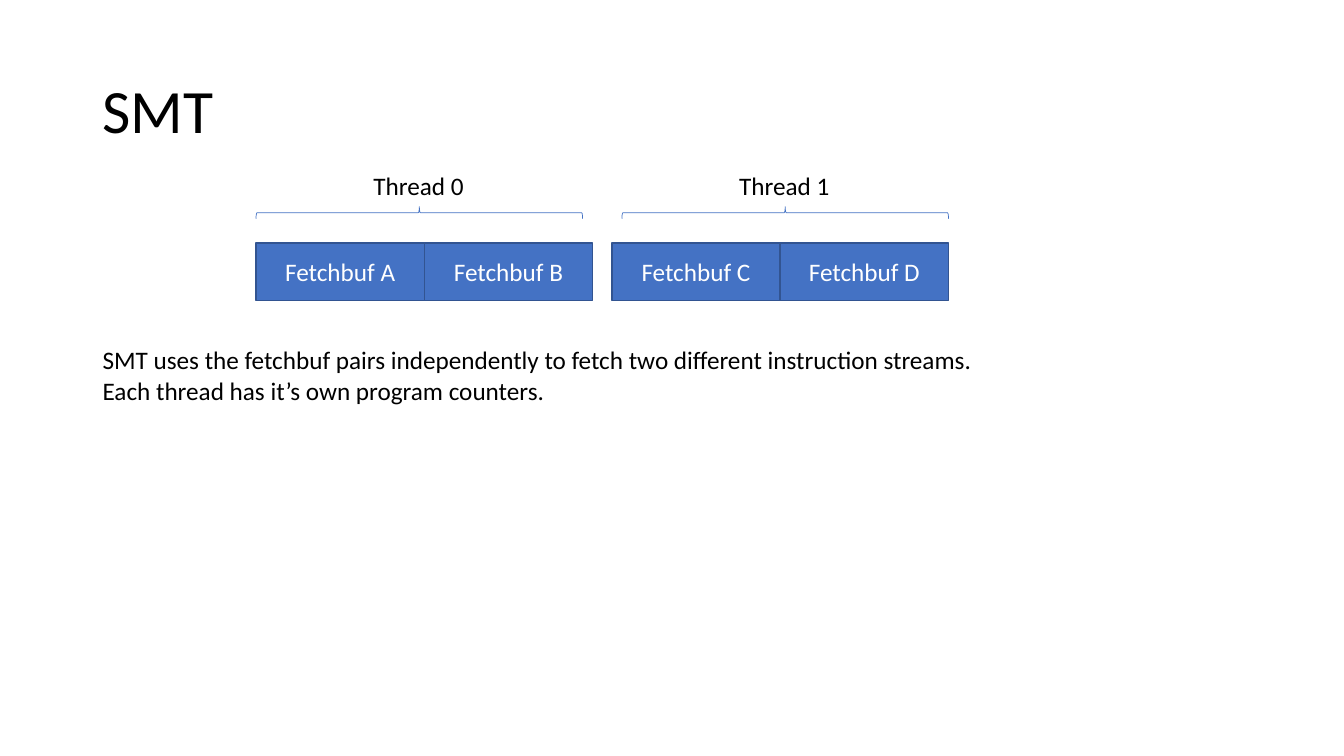
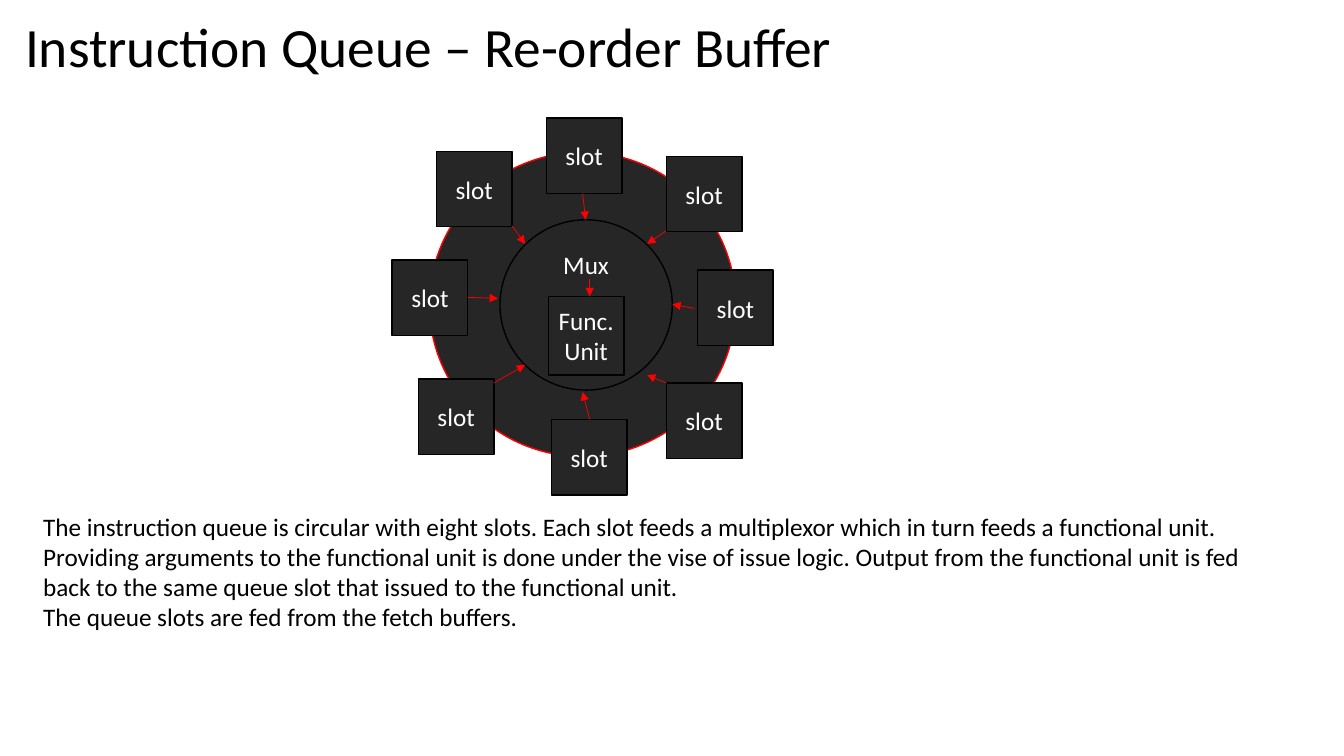
from dataclasses import dataclass

from lxml import etree
from pptx import Presentation
from pptx import util as u
from pptx.dml.color import RGBColor
from pptx.enum import shapes, text
from pptx.oxml import ns
from pptx.shapes.autoshape import Shape
from pptx.slide import Slide

Pt = u.Pt
Kind = shapes.MSO_SHAPE
Anchor = text.MSO_ANCHOR
Align = text.PP_ALIGN

FONT = "Calibri"
BLACK = RGBColor(0x00, 0x00, 0x00)
WHITE = RGBColor(0xFF, 0xFF, 0xFF)
RED = RGBColor(0xFF, 0x00, 0x00)
BLUE = RGBColor(0x44, 0x72, 0xC4)
NAVY = RGBColor(0x32, 0x54, 0x91)
DARK = RGBColor(0x26, 0x26, 0x26)


@dataclass(frozen=True)
class Box:
    left: float
    top: float
    width: float
    height: float

    def span(self) -> tuple[Pt, Pt, Pt, Pt]:
        return Pt(self.left), Pt(self.top), Pt(self.width), Pt(self.height)


@dataclass(frozen=True)
class Arrow:
    x1: float
    y1: float
    x2: float
    y2: float


@dataclass(frozen=True)
class Slot:
    left: float
    top: float
    arrow: Arrow


@dataclass(frozen=True)
class Thread:
    label: str
    left: float
    brace: float
    units: str


def write(shape: Shape, words: str, *, size: float = 18, color: RGBColor = BLACK,
          align: Align = Align.LEFT, anchor: Anchor = Anchor.TOP,
          wrap: bool = True, pad: float = 7.2, space: float = 1.0) -> None:
    frame = shape.text_frame
    frame.word_wrap = wrap
    frame.vertical_anchor = anchor
    frame.margin_left = frame.margin_right = Pt(pad)
    frame.text = words
    for para in frame.paragraphs:
        para.alignment = align
        para.line_spacing = space
        para.font.name = FONT
        para.font.size = Pt(size)
        para.font.color.rgb = color


def label(slide: Slide, box: Box, words: str, **style) -> None:
    write(slide.shapes.add_textbox(*box.span()), words, **style)


def title(slide: Slide, box: Box, words: str, size: float) -> None:
    label(slide, box, words, size=size, anchor=Anchor.MIDDLE, space=0.9)


def block(slide: Slide, kind: Kind, box: Box, fill: RGBColor | None, line: RGBColor,
          words: str = "", weight: float = 1, anchor: Anchor = Anchor.MIDDLE) -> Shape:
    shape = slide.shapes.add_shape(kind, *box.span())
    shape.shadow.inherit = False
    if fill is None:
        shape.fill.background()
    else:
        shape.fill.solid()
        shape.fill.fore_color.rgb = fill
    shape.line.color.rgb = line
    shape.line.width = Pt(weight)
    if words:
        write(shape, words, color=WHITE, align=Align.CENTER, anchor=anchor, pad=3.6)
    return shape


def point(slide: Slide, arrow: Arrow) -> None:
    line = slide.shapes.add_connector(
        shapes.MSO_CONNECTOR.STRAIGHT,
        Pt(arrow.x1), Pt(arrow.y1), Pt(arrow.x2), Pt(arrow.y2))
    line.line.color.rgb = RED
    line.line.width = Pt(0.5)
    etree.SubElement(line.line._get_or_add_ln(), ns.qn("a:tailEnd"), type="triangle")
    etree.SubElement(line._element.spPr, ns.qn("a:effectLst"))


THREADS = (
    Thread("Thread 0", 182.88, 299.52, "AB"),
    Thread("Thread 1", 437.04, 560.88, "CD"),
)
UNIT = 120.24
BRACE = Box(0, 35.28, 8.64, 233.28)

SIDE = 54
SLOTS = (
    Slot(390.24, 84.24, Arrow(416.16, 138.24, 418.32, 156.96)),
    Slot(475.92, 111.6, Arrow(475.92, 164.88, 462.24, 174.24)),
    Slot(498.24, 192.96, Arrow(496.08, 220.32, 480.24, 217.44)),
    Slot(475.92, 273.6, Arrow(475.92, 273.6, 462.24, 267.84)),
    Slot(393.84, 299.52, Arrow(421.2, 299.52, 416.16, 280.08)),
    Slot(298.8, 270.72, Arrow(352.8, 273.6, 375.12, 260.64)),
    Slot(280.08, 185.76, Arrow(334.08, 212.4, 355.68, 213.12)),
    Slot(311.76, 108, Arrow(365.76, 161.28, 375.12, 174.24)),
)
FEED = Arrow(421.2, 199.44, 421.2, 211.68)


def threads(slide: Slide) -> None:
    title(slide, Box(66.24, 28.8, 828, 104.4), "SMT", 44)
    for thread in THREADS:
        for col, name in enumerate(thread.units):
            cell = Box(thread.left + col * UNIT, 173.52, UNIT, 41.04)
            block(slide, Kind.RECTANGLE, cell, BLUE, NAVY, f"Fetchbuf {name}")
        spot = Box(thread.brace - BRACE.width / 2, BRACE.top, BRACE.width, BRACE.height)
        brace = block(slide, Kind.LEFT_BRACE, spot, None, BLUE, weight=0.5)
        brace.rotation = 90
        label(slide, Box(thread.brace - 39.96, 118.08, 79.92, 28.8), thread.label,
              wrap=False)
    label(slide, Box(66.24, 242.64, 642.96, 51.12),
          "SMT uses the fetchbuf pairs independently to fetch two different "
          "instruction streams.\nEach thread has it’s own program counters.",
          wrap=False)


def queue(slide: Slide) -> None:
    block(slide, Kind.OVAL, Box(306.72, 108.72, 218.88, 217.44), DARK, RED)
    title(slide, Box(10.8, 8.64, 713.52, 54),
          "Instruction Queue – Re-order Buffer", 39.6)
    for slot in SLOTS:
        block(slide, Kind.RECTANGLE, Box(slot.left, slot.top, SIDE, SIDE),
              DARK, BLACK, "slot")
    block(slide, Kind.OVAL, Box(357.12, 156.96, 123.12, 121.68), DARK, BLACK,
          "Mux", anchor=Anchor.TOP)
    block(slide, Kind.RECTANGLE, Box(391.68, 211.68, SIDE, 56.16), DARK, BLACK,
          "Func.\nUnit")
    for arrow in (FEED, *(slot.arrow for slot in SLOTS)):
        point(slide, arrow)
    label(slide, Box(23.76, 361.44, 907.2, 94.32),
          "The instruction queue is circular with eight slots. Each slot feeds a "
          "multiplexor which in turn feeds a functional unit. Providing arguments to "
          "the functional unit is done under the vise of issue logic. Output from the "
          "functional unit is fed back to the same queue slot that issued to the "
          "functional unit.\nThe queue slots are fed from the fetch buffers.")


def main() -> None:
    deck = Presentation()
    deck.slide_width = Pt(960)
    deck.slide_height = Pt(540)
    for draw in (threads, queue):
        draw(deck.slides.add_slide(deck.slide_layouts[6]))
    deck.save("out.pptx")


main()
